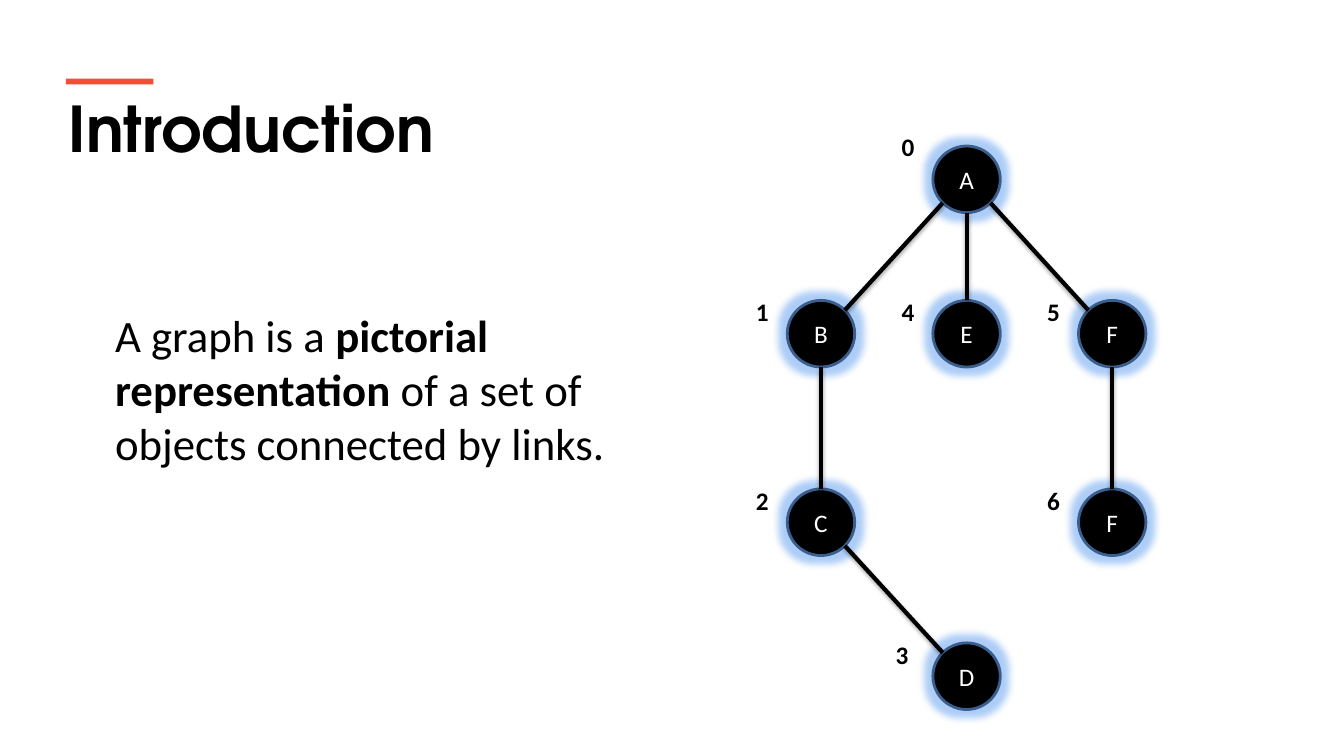
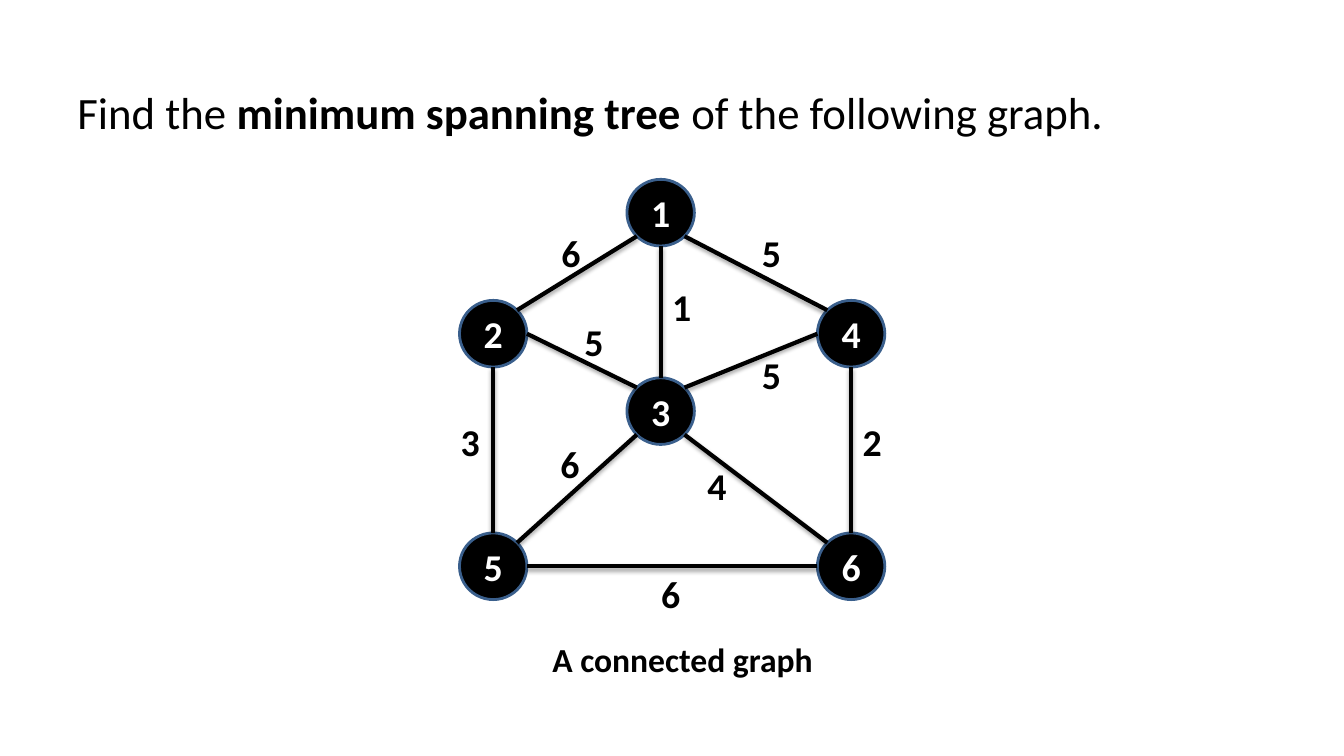
from dataclasses import dataclass
from math import sqrt
from typing import Optional

from lxml.etree import SubElement
from pptx import Presentation
from pptx.dml.color import RGBColor
from pptx.enum.shapes import MSO_CONNECTOR as Connector, MSO_SHAPE as Shape
from pptx.enum.text import MSO_ANCHOR as Anchor, MSO_AUTO_SIZE as AutoSize, PP_ALIGN as Align
from pptx.oxml.ns import qn
from pptx.util import Cm, Pt

# Shared look
BLACK, WHITE, OUTLINE, ACCENT, GLOW = "000000", "FFFFFF", "3A5F8C", "F05136", "5B9CF0"
BODY_FONT, TITLE_FONT = "Calibri", "TeX Gyre Adventor"
NODE_WIDTH, NODE_HEIGHT = 1.7, 1.68
INSET_X, INSET_Y = 0.33, 0.18
DIAGONAL = 1 / sqrt(2)
SIDES = {
    "N": (0, -1), "S": (0, 1), "E": (1, 0), "W": (-1, 0),
    "NE": (DIAGONAL, -DIAGONAL), "NW": (-DIAGONAL, -DIAGONAL),
    "SE": (DIAGONAL, DIAGONAL), "SW": (-DIAGONAL, DIAGONAL),
}


@dataclass
class Label:
    """Bold text with its top left corner, in centimetres."""
    text: str
    left: float
    top: float
    width: float = 1.17
    height: float = 1.5
    size: int = 27


@dataclass
class Node:
    """Circle with its centre, in centimetres."""
    text: str
    x: float
    y: float

    def point(self, side: str) -> tuple:
        across, down = SIDES[side]
        return (Cm(self.x + across * NODE_WIDTH / 2),
                Cm(self.y + down * NODE_HEIGHT / 2))


@dataclass
class Edge:
    start: int
    start_side: str
    end: int
    end_side: str
    weight: Optional[Label] = None


def color(value: str) -> RGBColor:
    return RGBColor.from_string(value)


def set_font(font, size: int, ink: str = BLACK, bold: bool = False, name: str = BODY_FONT) -> None:
    font.name, font.size, font.bold = name, Pt(size), bold
    font.color.rgb = color(ink)


def set_insets(frame) -> None:
    frame.margin_left = frame.margin_right = Cm(INSET_X)
    frame.margin_top = frame.margin_bottom = Cm(INSET_Y)


def add_effect(effects, kind: str, ink: str, opacity: int, **settings: str) -> None:
    effect = SubElement(effects, qn(f"a:{kind}"), settings)
    shade = SubElement(effect, qn("a:srgbClr"), val=ink)
    SubElement(shade, qn("a:alpha"), val=str(opacity * 1000))


def add_node(slide, node: Node, size: int, bold: bool, glow: bool) -> None:
    shape = slide.shapes.add_shape(
        Shape.OVAL, Cm(node.x - NODE_WIDTH / 2), Cm(node.y - NODE_HEIGHT / 2),
        Cm(NODE_WIDTH), Cm(NODE_HEIGHT))
    shape.fill.solid()
    shape.fill.fore_color.rgb = color(BLACK)
    shape.line.color.rgb = color(OUTLINE)
    shape.line.width = Pt(2)
    shape.shadow.inherit = False
    if glow:
        effects = shape._element.spPr.find(qn("a:effectLst"))
        add_effect(effects, "glow", GLOW, 50, rad=str(Pt(10)))
    frame = shape.text_frame
    set_insets(frame)
    frame.vertical_anchor = Anchor.MIDDLE
    paragraph = frame.paragraphs[0]
    paragraph.text = node.text
    paragraph.alignment = Align.CENTER
    set_font(paragraph.font, size, WHITE, bold)


def add_edge(slide, nodes: list, edge: Edge) -> None:
    line = slide.shapes.add_connector(
        Connector.STRAIGHT, *nodes[edge.start].point(edge.start_side),
        *nodes[edge.end].point(edge.end_side))
    line.line.color.rgb = color(BLACK)
    line.line.width = Pt(3)
    effects = SubElement(line._element.spPr, qn("a:effectLst"))
    add_effect(effects, "outerShdw", BLACK, 35, blurRad=str(Pt(3.1)),
               dist=str(Pt(1.8)), dir="5400000", rotWithShape="0")


def add_label(slide, label: Label) -> None:
    box = slide.shapes.add_textbox(Cm(label.left), Cm(label.top), Cm(label.width), Cm(label.height))
    frame = box.text_frame
    frame.word_wrap = False
    set_insets(frame)
    paragraph = frame.paragraphs[0]
    paragraph.text = label.text
    set_font(paragraph.font, label.size, bold=True)


def add_graph(slide, nodes: list, edges: list, labels: list, size: int,
              bold: bool = False, glow: bool = False) -> None:
    for node in nodes:
        add_node(slide, node, size, bold, glow)
    for edge in edges:
        add_edge(slide, nodes, edge)
    for label in labels:
        add_label(slide, label)


def add_statement(slide, left: float, top: float, width: float, height: float,
                  before: str, strong: str, after: str) -> None:
    """Body sentence with a bold phrase in the middle."""
    box = slide.shapes.add_textbox(Cm(left), Cm(top), Cm(width), Cm(height))
    box.text_frame.word_wrap = True
    paragraph = box.text_frame.paragraphs[0]
    for text, bold in ((before, False), (strong, True), (after, False)):
        run = paragraph.add_run()
        run.text = text
        set_font(run.font, 32, bold=bold)


def add_title(slide, text: str) -> None:
    title = slide.shapes.title
    title.left, title.top, title.width, title.height = Cm(1.47), Cm(2.13), Cm(30.94), Cm(2.18)
    frame = title.text_frame
    frame.auto_size = AutoSize.NONE
    frame.vertical_anchor = Anchor.TOP
    paragraph = frame.paragraphs[0]
    paragraph.text = text
    paragraph.alignment = Align.LEFT
    set_font(paragraph.font, 45, bold=True, name=TITLE_FONT)
    # Accent bar above the title
    bar = slide.shapes.add_shape(Shape.RECTANGLE, Cm(1.66), Cm(1.98), Cm(2.21), Cm(0.15))
    bar.fill.solid()
    bar.fill.fore_color.rgb = color(ACCENT)
    bar.line.fill.background()
    bar.shadow.inherit = False


def build_introduction(presentation) -> None:
    slide = presentation.slides.add_slide(presentation.slide_layouts[5])
    add_title(slide, "Introduction")
    add_statement(slide, 2.65, 7.63, 14.85, 4.5, "A graph is a ",
                  "pictorial representation ", "of a set of objects connected by links.")
    # Nodes in visiting order
    left, middle, right = (20.69 + 3.67 * column for column in range(3))
    nodes = [
        Node("A", middle, 4.52), Node("B", left, 8.41), Node("C", left, 13.16),
        Node("D", middle, 17.04), Node("E", middle, 8.41), Node("F", right, 8.41),
        Node("F", right, 13.16),
    ]
    edges = [
        Edge(0, "SE", 5, "NW"), Edge(1, "NE", 0, "SW"), Edge(0, "S", 4, "N"),
        Edge(1, "S", 2, "N"), Edge(2, "SE", 3, "NW"), Edge(5, "S", 6, "N"),
    ]
    # Order numbers sit up and left of each node; two are shifted
    shifts = {0: (0, -0.28), 3: (-0.15, 0)}
    labels = []
    for number, node in enumerate(nodes):
        across, down = shifts.get(number, (0, 0))
        labels.append(Label(str(number), node.x - 1.97 + across, node.y - 1.12 + down,
                            1.02, 1.12, 18))
    add_graph(slide, nodes, edges, labels, 18, glow=True)


def build_spanning_tree(presentation) -> None:
    slide = presentation.slides.add_slide(presentation.slide_layouts[6])
    add_statement(slide, 1.7, 2.01, 30.48, 1.7, "Find the ",
                  "minimum spanning tree ", "of the following graph.")
    left, middle, right = 12.43, 16.65, 21.45
    upper, lower = 8.41, 14.27
    nodes = [
        Node("1", middle, 5.36), Node("2", left, upper), Node("3", middle, 10.36),
        Node("4", right, upper), Node("5", left, lower), Node("6", right, lower),
    ]
    edges = [
        Edge(1, "NE", 0, "SW", Label("6", 13.82, 5.61)),
        Edge(3, "NW", 0, "SE", Label("5", 18.87, 5.61)),
        Edge(2, "N", 0, "S", Label("1", 16.61, 6.96)),
        Edge(2, "NW", 1, "E", Label("5", 14.4, 7.85)),
        Edge(3, "W", 2, "NE", Label("5", 18.87, 8.69)),
        Edge(5, "N", 3, "S", Label("2", 21.41, 10.36)),
        Edge(5, "NW", 2, "SE", Label("4", 17.5, 11.48)),
        Edge(4, "NE", 2, "SW", Label("6", 13.79, 10.92)),
        Edge(4, "N", 1, "S", Label("3", 11.28, 10.36)),
        Edge(5, "W", 4, "E", Label("6", 16.33, 14.2)),
    ]
    caption = Label("A connected graph", 13.59, 15.93, 7.32, 1.37, 24)
    labels = [edge.weight for edge in edges] + [caption]
    add_graph(slide, nodes, edges, labels, 27, bold=True)


def main() -> None:
    presentation = Presentation()
    presentation.slide_width, presentation.slide_height = Cm(33.87), Cm(19.05)
    build_introduction(presentation)
    build_spanning_tree(presentation)
    presentation.save("out.pptx")


if __name__ == "__main__":
    main()
